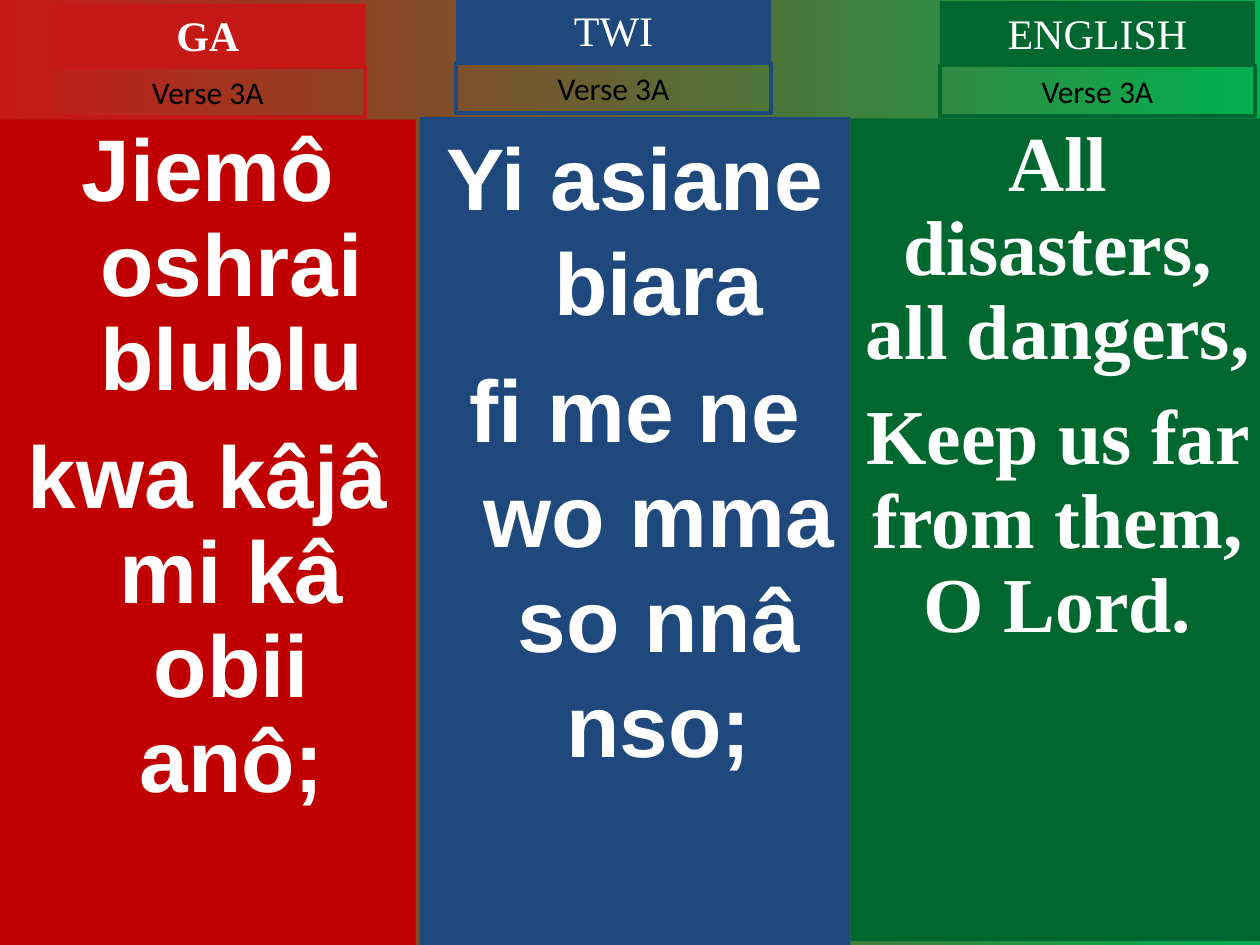
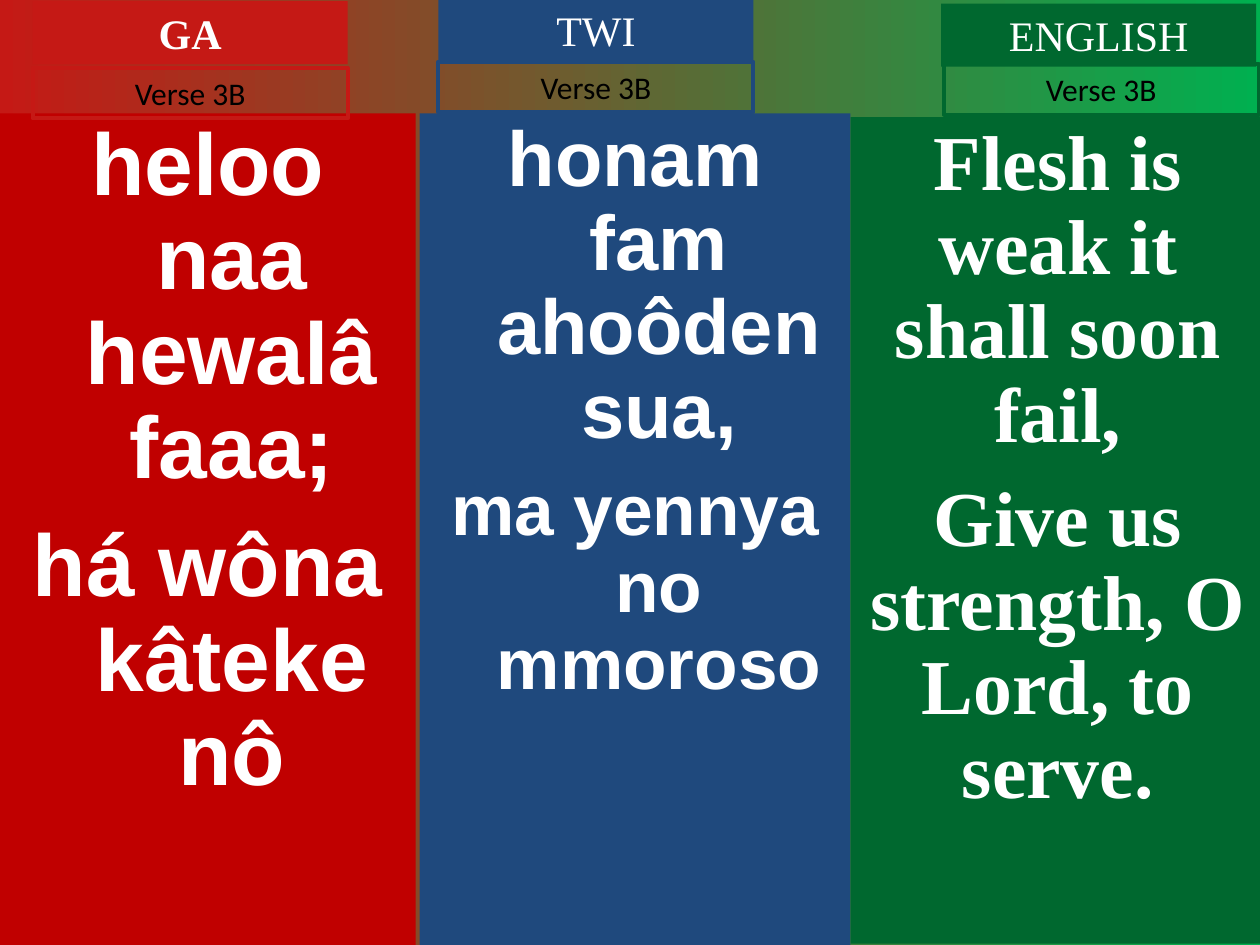
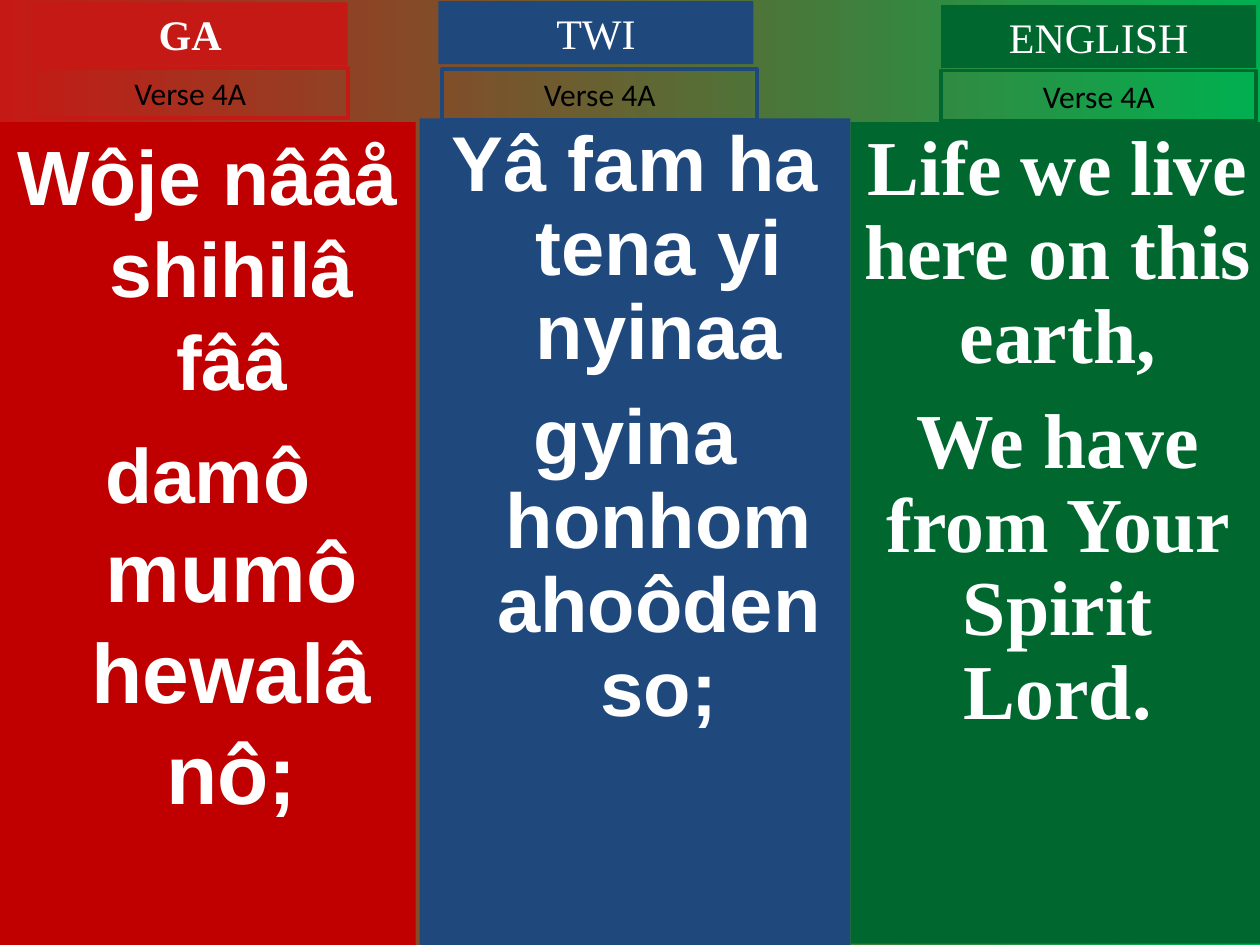
import dataclasses

import pptx
import pptx.dml.color
import pptx.enum.shapes
import pptx.enum.text
import pptx.util

Inches = pptx.util.Inches
Pt = pptx.util.Pt


@dataclasses.dataclass(frozen=True)
class Theme:
    """Colours, fonts, type sizes and lengths shared by all slides."""
    white: str = "FFFFFF"
    black: str = "000000"
    sky: tuple = ("C51915", "00B050")
    header_font: str = "Times New Roman"
    label_font: str = "Calibri"
    header_size: float = 24
    label_size: float = 18
    large: float = 50
    medium: float = 44.4
    small: float = 40.7
    plain: float = 44
    accent: float = 48
    border: float = 2.25
    tag_width: float = 2.5
    header_height: float = 0.5
    label_height: float = 0.4
    hanging: float = 0.38


@dataclasses.dataclass(frozen=True)
class Language:
    """The fixed look of one language column."""
    name: str
    left: float
    width: float
    panel_colour: str
    tag_colour: str
    verse_font: str
    hanging: float
    bold_header: bool = False


@dataclasses.dataclass(frozen=True)
class Stanza:
    """One language's lines and the places of its parts on a slide."""
    panel_top: float
    header_at: tuple
    label_at: tuple
    lines: tuple
    size: float = 44.4
    gap: float = 12
    leading: float = 0.9
    bottom: float = 7.5


THEME = Theme()

LANGUAGES = (
    Language("GA", 0, 3.3, "C00000", "C51915", "Arial", THEME.hanging, True),
    Language("TWI", 3.33, 3.42, "1F497D", "1F497D", "Arial", THEME.hanging),
    Language("ENGLISH", 6.75, 3.29, "00682F", "00682F", "Times New Roman", 0),
)

VERSES = (
    ("Verse 3A", (
        Stanza(0.95, (0.4, 0.03), (0.4, 0.53),
               ("Jiemô oshrai blublu", "kwa kâjâ mi kâ obii anô;"),
               size=THEME.large, gap=13.5),
        Stanza(0.93, (3.62, -0.01), (3.62, 0.5),
               ("Yi asiane biara", "fi me ne wo mma so nnâ nso;"),
               size=THEME.large, gap=12.5, leading=1.0),
        Stanza(0.94, (7.46, 0.01), (7.46, 0.52),
               ("All disasters, all dangers,", "Keep us far from them, O Lord."),
               bottom=7.47),
    )),
    ("Verse 3B", (
        Stanza(0.9, (0.26, 0.01), (0.26, 0.54),
               ("heloo naa hewalâ faaa;", "há wôna kâteke nô"),
               size=THEME.large, gap=13.5),
        Stanza(0.9, (3.48, -0.01), (3.48, 0.49),
               ("honam fam ahoôden sua,", (("ma yennya no mmoroso", THEME.small),)),
               gap=11),
        Stanza(0.93, (7.47, 0.03), (7.49, 0.51),
               ("Flesh is weak it shall soon fail,", "Give us strength, O Lord, to serve."),
               bottom=7.49),
    )),
    ("Verse 4A", (
        Stanza(0.97, (0.26, 0.02), (0.26, 0.54),
               ("Wôje nââå shihilâ fââ",
                (("damô ", THEME.plain), ("mumô hewalâ nô;", THEME.accent))),
               size=THEME.plain, leading=1.0),
        Stanza(0.94, (3.48, 0.01), (3.51, 0.55),
               ("Yâ fam ha tena yi nyinaa", "gyina honhom ahoôden so;")),
        Stanza(0.97, (7.47, 0.04), (7.47, 0.56),
               ("Life we live here on this earth,", "We have from Your Spirit Lord."),
               bottom=7.49),
    )),
)


def rgb(colour):
    """Turn a hex string into a colour."""
    return pptx.dml.color.RGBColor.from_string(colour)


def apply(target, formats):
    """Set each named format value on the target."""
    for name, value in formats.items():
        setattr(target, name, value)


def add_box(slide, left, top, width, height, fill=None, line=None):
    """Add a rectangle with top-anchored wrapped text and return it."""
    box = slide.shapes.add_shape(
        pptx.enum.shapes.MSO_SHAPE.RECTANGLE,
        Inches(left), Inches(top), Inches(width), Inches(height))
    box.shadow.inherit = False
    if fill:
        box.fill.solid()
        box.fill.fore_color.rgb = rgb(fill)
    else:
        box.fill.background()
    if line:
        box.line.color.rgb = rgb(line)
        box.line.width = Pt(THEME.border)
    else:
        box.line.fill.background()
    apply(box.text_frame, {
        "word_wrap": True,
        "vertical_anchor": pptx.enum.text.MSO_ANCHOR.TOP,
        "margin_left": Inches(0.1), "margin_right": Inches(0.1),
        "margin_top": Inches(0.05), "margin_bottom": Inches(0.05),
    })
    return box


def add_run(paragraph, text, font, size, colour, bold=False):
    """Add one formatted run to a paragraph."""
    run = paragraph.add_run()
    run.text = text
    apply(run.font, {"name": font, "size": Pt(size), "bold": bold})
    run.font.color.rgb = rgb(colour)


def add_tag(slide, at, height, text, font, size, colour, bold=False, **look):
    """Add a one-line centred tag above a column."""
    tag = add_box(slide, *at, THEME.tag_width, height, **look)
    tag.text_frame.auto_size = pptx.enum.text.MSO_AUTO_SIZE.SHAPE_TO_FIT_TEXT
    paragraph = tag.text_frame.paragraphs[0]
    paragraph.alignment = pptx.enum.text.PP_ALIGN.CENTER
    add_run(paragraph, text, font, size, colour, bold)


def add_panel(slide, language, stanza):
    """Add the coloured column that holds the lines of a stanza."""
    panel = add_box(slide, language.left, stanza.panel_top, language.width,
                    stanza.bottom - stanza.panel_top, fill=language.panel_colour)
    for index, line in enumerate(stanza.lines):
        frame = panel.text_frame
        paragraph = frame.add_paragraph() if index else frame.paragraphs[0]
        apply(paragraph, {
            "alignment": pptx.enum.text.PP_ALIGN.CENTER,
            "line_spacing": stanza.leading,
            "space_before": Pt(stanza.gap if index else 0),
        })
        if language.hanging:
            margin = Inches(language.hanging)
            properties = paragraph._p.get_or_add_pPr()
            properties.set("marL", str(margin))
            properties.set("indent", str(-margin))
        runs = ((line, stanza.size),) if isinstance(line, str) else line
        for text, size in runs:
            add_run(paragraph, text, language.verse_font, size, THEME.white, True)


def add_column(slide, language, stanza, verse):
    """Add a language's panel, header and verse label."""
    add_panel(slide, language, stanza)
    add_tag(slide, stanza.header_at, THEME.header_height, language.name,
            THEME.header_font, THEME.header_size, THEME.white,
            language.bold_header, fill=language.tag_colour)
    add_tag(slide, stanza.label_at, THEME.label_height, verse,
            THEME.label_font, THEME.label_size, THEME.black,
            line=language.tag_colour)


def paint_background(slide):
    """Fill the slide with the left-to-right gradient."""
    fill = slide.background.fill
    fill.gradient()
    fill.gradient_angle = 0
    for stop, colour, position in zip(fill.gradient_stops, THEME.sky, (0, 1)):
        stop.color.rgb = rgb(colour)
        stop.position = position


def main():
    """Build the hymn slides and save them."""
    hymn = pptx.Presentation()
    apply(hymn, {"slide_width": Inches(10), "slide_height": Inches(7.5)})
    for verse, stanzas in VERSES:
        slide = hymn.slides.add_slide(hymn.slide_layouts[6])
        paint_background(slide)
        for language, stanza in zip(LANGUAGES, stanzas):
            add_column(slide, language, stanza, verse)
    hymn.save("out.pptx")


if __name__ == "__main__":
    main()
